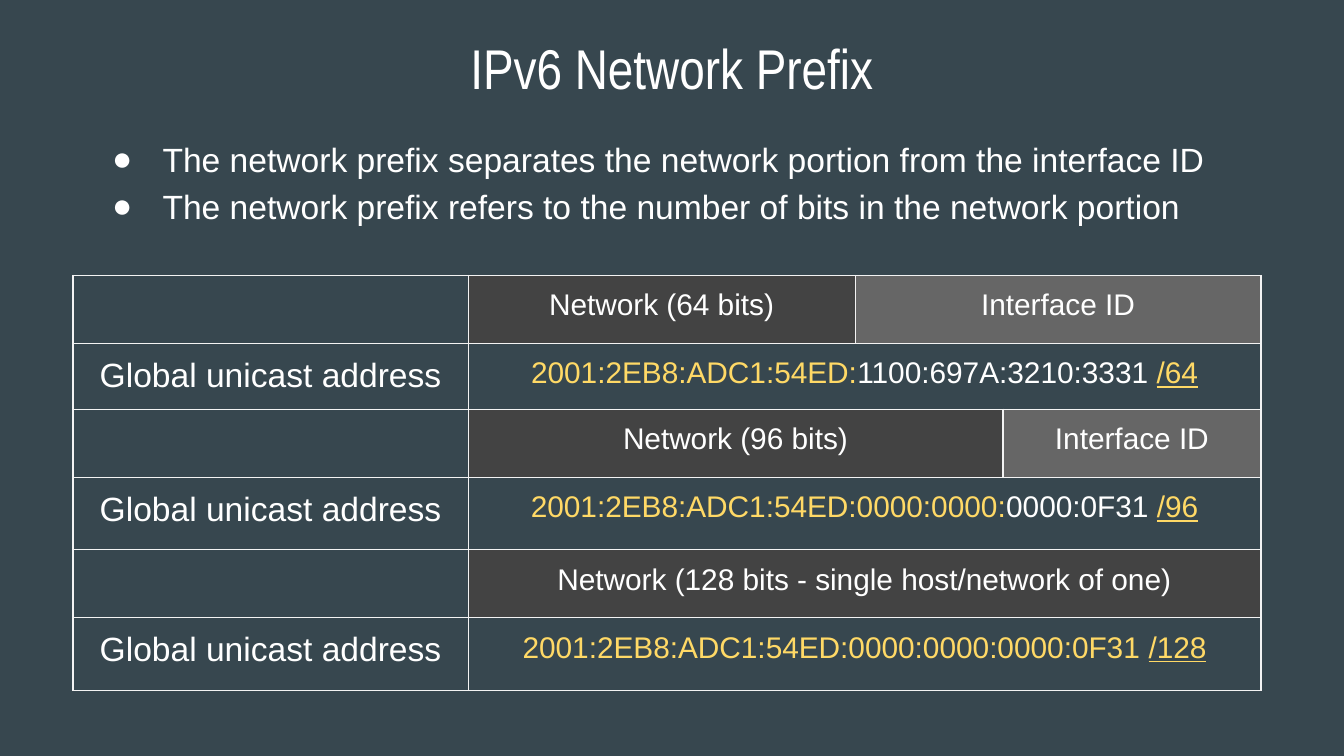
import dataclasses
import typing

import lxml.etree
import pptx
import pptx.dml.color
import pptx.enum.text
import pptx.oxml
import pptx.oxml.ns
import pptx.util

Pt = pptx.util.Pt
Color = pptx.dml.color.RGBColor
Align = pptx.enum.text.PP_ALIGN
Anchor = pptx.enum.text.MSO_ANCHOR
qn = pptx.oxml.ns.qn


@dataclasses.dataclass(frozen=True)
class Theme:
    background: str = "37474F"
    text: str = "FFFFFF"
    accent: str = "FFD966"
    network: str = "434343"
    interface: str = "666666"
    border: str = "F3F3F3"
    heading_font: str = "Arial Narrow"
    body_font: str = "Arial"
    title_size: float = 30
    body_size: float = 18
    address_size: float = 16
    border_width: float = 0.75
    inset: float = 7.2


@dataclasses.dataclass(frozen=True)
class Band:
    text: str
    span: int
    fill: str


@dataclasses.dataclass(frozen=True)
class Example:
    bands: tuple[Band, ...]
    network: str
    interface: str
    prefix: str
    height: float


THEME = Theme()
HEADER_HEIGHT = 35.3
COLUMN_WIDTHS = (211.7, 56.2, 37.4, 60.5, 53.3, 79.2, 41, 37.4, 59.8)
BULLETS = (
    "The network prefix separates the network portion from the interface ID",
    "The network prefix refers to the number of bits in the network portion",
)
EXAMPLES = (
    Example(
        (Band("Network (64 bits)", 4, THEME.network), Band("Interface ID", 4, THEME.interface)),
        "2001:2EB8:ADC1:54ED:", "1100:697A:3210:3331 ", "/64", 35.3,
    ),
    Example(
        (Band("Network (96 bits)", 5, THEME.network), Band("Interface ID", 3, THEME.interface)),
        "2001:2EB8:ADC1:54ED:0000:0000:", "0000:0F31 ", "/96", 38.9,
    ),
    Example(
        (Band("Network (128 bits - single host/network of one)", 8, THEME.network),),
        "2001:2EB8:ADC1:54ED:0000:0000:0000:0F31 ", "", "/128", 38.9,
    ),
)


def set_font(font: typing.Any, name: str, size: float, color: str = THEME.text) -> None:
    font.name = name
    font.size = Pt(size)
    font.color.rgb = Color.from_string(color)


def place(box: typing.Any, left: float, top: float, width: float, height: float) -> None:
    box.left, box.top, box.width, box.height = map(Pt, (left, top, width, height))
    frame = box.text_frame
    frame.word_wrap = True
    frame.auto_size = pptx.enum.text.MSO_AUTO_SIZE.NONE
    frame.vertical_anchor = Anchor.TOP
    frame.margin_left = frame.margin_right = Pt(THEME.inset)
    frame.margin_top = frame.margin_bottom = Pt(THEME.inset)


def add_bullet(para: typing.Any) -> None:
    properties = para._p.get_or_add_pPr()
    properties.set("marL", str(Pt(36)))
    properties.set("indent", str(Pt(-27)))
    color = lxml.etree.SubElement(properties, qn("a:buClr"))
    lxml.etree.SubElement(color, qn("a:srgbClr"), val=THEME.text)
    lxml.etree.SubElement(properties, qn("a:buFont"), typeface=THEME.body_font)
    lxml.etree.SubElement(properties, qn("a:buChar"), char="●")


def style_cell(cell: typing.Any) -> None:
    cell.margin_left = cell.margin_right = Pt(THEME.inset)
    cell.margin_top = cell.margin_bottom = Pt(THEME.inset)
    properties = cell._tc.get_or_add_tcPr()
    for side in ("a:lnL", "a:lnR", "a:lnT", "a:lnB"):
        line = lxml.etree.SubElement(properties, qn(side), w=str(Pt(THEME.border_width)))
        fill = lxml.etree.SubElement(line, qn("a:solidFill"))
        lxml.etree.SubElement(fill, qn("a:srgbClr"), val=THEME.border)
    cell.fill.background()


def write_cell(cell: typing.Any, text: str, size: float) -> None:
    para = cell.text_frame.paragraphs[0]
    para.text = text
    para.alignment = Align.CENTER
    set_font(para.font, THEME.body_font, size)


def write_address(cell: typing.Any, example: Example) -> None:
    para = cell.text_frame.paragraphs[0]
    para.alignment = Align.CENTER
    parts = (
        (example.network, THEME.accent),
        (example.interface, THEME.text),
        (example.prefix, THEME.accent),
    )
    for text, color in parts:
        if text:
            span = para.add_run()
            span.text = text
            set_font(span.font, THEME.body_font, THEME.address_size, color)
    span.font.underline = True


def add_prefix_table(page: typing.Any) -> None:
    heights = [height for example in EXAMPLES for height in (HEADER_HEIGHT, example.height)]
    table = page.shapes.add_table(
        len(heights), len(COLUMN_WIDTHS), Pt(39.1), Pt(147.6),
        Pt(sum(COLUMN_WIDTHS)), Pt(sum(heights)),
    ).table
    table.first_row = table.horz_banding = False
    for column, width in zip(table.columns, COLUMN_WIDTHS):
        column.width = Pt(width)
    for row, height in zip(table.rows, heights):
        row.height = Pt(height)
    for cell in table.iter_cells():
        style_cell(cell)
    last = len(COLUMN_WIDTHS) - 1
    for index, example in enumerate(EXAMPLES):
        header, detail = 2 * index, 2 * index + 1
        start = 1
        for band in example.bands:
            cell = table.cell(header, start)
            cell.merge(table.cell(header, start + band.span - 1))
            cell.fill.solid()
            cell.fill.fore_color.rgb = Color.from_string(band.fill)
            write_cell(cell, band.text, THEME.address_size)
            start += band.span
        write_cell(table.cell(detail, 0), "Global unicast address", THEME.body_size)
        address = table.cell(detail, 1)
        address.merge(table.cell(detail, last))
        write_address(address, example)


def main() -> None:
    deck = pptx.Presentation()
    deck.slide_width, deck.slide_height = Pt(720), Pt(405)
    page = deck.slides.add_slide(deck.slide_layouts[1])
    page.background.fill.solid()
    page.background.fill.fore_color.rgb = Color.from_string(THEME.background)

    title = page.shapes.title
    place(title, 24.5, 10.8, 671, 45.4)
    para = title.text_frame.paragraphs[0]
    para.text = "IPv6 Network Prefix"
    para.alignment = Align.CENTER
    set_font(para.font, THEME.heading_font, THEME.title_size)

    add_prefix_table(page)

    body = page.placeholders[1]
    place(body, 43.9, 64.1, 627.1, 73.4)
    body.text_frame.text = "\n".join(BULLETS)
    for para in body.text_frame.paragraphs:
        para.line_spacing = 1.15
        para.space_before = Pt(0)
        set_font(para.font, THEME.body_font, THEME.body_size)
        add_bullet(para)

    deck.save("out.pptx")


if __name__ == "__main__":
    main()
